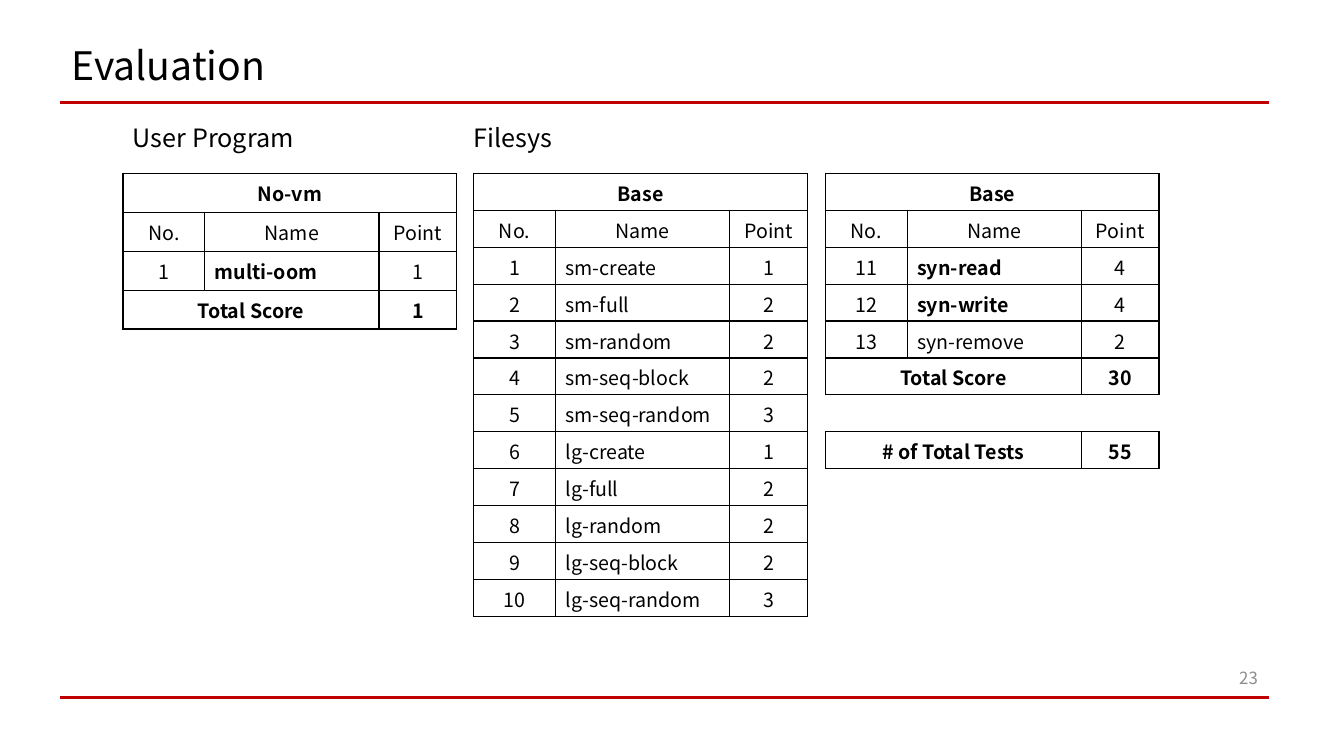
from dataclasses import dataclass

import pptx
import pptx.dml.color
import pptx.enum.shapes
import pptx.enum.text
import pptx.oxml.ns
import pptx.slide
import pptx.table
import pptx.text.text
import pptx.util
from lxml import etree
from pptx.enum.text import MSO_ANCHOR, PP_ALIGN
from pptx.util import Cm, Pt

FONT = "Noto Sans CJK KR"
BLACK = pptx.dml.color.RGBColor(0x00, 0x00, 0x00)
GRAY = pptx.dml.color.RGBColor(0x8C, 0x8C, 0x8C)
RED = pptx.dml.color.RGBColor(0xC0, 0x00, 0x00)

TABLE_TOP = 4.37
COLUMN_WIDTHS = (2.06, 4.39, 1.96)
TABLE_TEXT_SIZE = 14
ALL_SIDES = ("L", "R", "T", "B")


@dataclass
class Label:
    text: str
    left: float
    top: float
    width: float
    size: float
    color: pptx.dml.color.RGBColor = BLACK
    align: PP_ALIGN = PP_ALIGN.LEFT
    anchor: MSO_ANCHOR = MSO_ANCHOR.TOP


@dataclass
class Test:
    number: int
    name: str
    points: int
    bold: bool = False


@dataclass
class ScoreTable:
    """Title row, column heads, tests, then (label, value) totals; an empty label leaves a gap."""
    left: float
    row_height: float
    title: str
    tests: list[Test]
    totals: list[tuple[str, str]]


LABELS = [
    Label("User Program", 3.1, 2.97, 5.82, 18),
    Label("Filesys", 11.68, 2.97, 5.82, 18),
    Label("23", 30.63, 16.56, 1.32, 12, GRAY, PP_ALIGN.RIGHT, MSO_ANCHOR.MIDDLE),
]

SCORE_TABLES = [
    ScoreTable(3.1, 0.98, "No-vm", [Test(1, "multi-oom", 1, True)], [("Total Score", "1")]),
    ScoreTable(11.94, 0.93, "Base", [
        Test(1, "sm-create", 1),
        Test(2, "sm-full", 2),
        Test(3, "sm-random", 2),
        Test(4, "sm-seq-block", 2),
        Test(5, "sm-seq-random", 3),
        Test(6, "lg-create", 1),
        Test(7, "lg-full", 2),
        Test(8, "lg-random", 2),
        Test(9, "lg-seq-block", 2),
        Test(10, "lg-seq-random", 3),
    ], []),
    ScoreTable(20.8, 0.93, "Base", [
        Test(11, "syn-read", 4, True),
        Test(12, "syn-write", 4, True),
        Test(13, "syn-remove", 2),
    ], [("Total Score", "30"), ("", ""), ("# of Total Tests", "55")]),
]


def format_text(text_frame: pptx.text.text.TextFrame, size: float,
                color: pptx.dml.color.RGBColor, align: PP_ALIGN, bold: bool = False) -> None:
    for paragraph in text_frame.paragraphs:
        paragraph.alignment = align
        for run in paragraph.runs:
            run.font.name = FONT
            run.font.size = Pt(size)
            run.font.bold = bold
            run.font.color.rgb = color


def add_rule(slide: pptx.slide.Slide, y: float) -> None:
    rule = slide.shapes.add_connector(
        pptx.enum.shapes.MSO_CONNECTOR.STRAIGHT, Cm(1.5), Cm(y), Cm(31.98), Cm(y))
    rule.line.color.rgb = RED
    rule.line.width = Pt(2.25)
    etree.SubElement(rule._element.spPr, pptx.oxml.ns.qn("a:effectLst"))


def add_title(slide: pptx.slide.Slide, text: str) -> None:
    title = slide.shapes.title
    title.left, title.top, title.width, title.height = Cm(1.55), Cm(1.04), Cm(29.21), Cm(1.35)
    text_frame = title.text_frame
    text_frame.text = text
    text_frame.auto_size = pptx.enum.text.MSO_AUTO_SIZE.NONE
    text_frame.vertical_anchor = MSO_ANCHOR.MIDDLE
    text_frame.paragraphs[0].line_spacing = 0.9
    format_text(text_frame, 28, BLACK, PP_ALIGN.LEFT)


def add_label(slide: pptx.slide.Slide, label: Label) -> None:
    box = slide.shapes.add_textbox(Cm(label.left), Cm(label.top), Cm(label.width), Cm(1.02))
    text_frame = box.text_frame
    text_frame.word_wrap = True
    text_frame.vertical_anchor = label.anchor
    text_frame.text = label.text
    format_text(text_frame, label.size, label.color, label.align)


def set_borders(cell: pptx.table._Cell, sides: tuple[str, ...]) -> None:
    properties = cell._tc.get_or_add_tcPr()
    for position, side in enumerate(ALL_SIDES):
        line = etree.Element(pptx.oxml.ns.qn(f"a:ln{side}"), w=str(Pt(1)))
        if side in sides:
            fill = etree.SubElement(line, pptx.oxml.ns.qn("a:solidFill"))
            etree.SubElement(fill, pptx.oxml.ns.qn("a:srgbClr"), val=str(BLACK))
        else:
            etree.SubElement(line, pptx.oxml.ns.qn("a:noFill"))
        properties.insert(position, line)


def fill_cell(cell: pptx.table._Cell, text: str, bold: bool, align: PP_ALIGN) -> None:
    cell.text_frame.text = text
    format_text(cell.text_frame, TABLE_TEXT_SIZE, BLACK, align, bold)
    if not text:  # keeps the empty row from growing
        etree.SubElement(cell.text_frame.paragraphs[0]._p, pptx.oxml.ns.qn("a:endParaRPr"),
                         sz=str(TABLE_TEXT_SIZE * 100))


def add_score_table(slide: pptx.slide.Slide, score: ScoreTable) -> None:
    row_count = 2 + len(score.tests) + len(score.totals)
    table = slide.shapes.add_table(
        row_count, len(COLUMN_WIDTHS), Cm(score.left), Cm(TABLE_TOP),
        Cm(sum(COLUMN_WIDTHS)), Cm(score.row_height * row_count)).table
    table.first_row = table.horz_banding = False
    for column, width in zip(table.columns, COLUMN_WIDTHS):
        column.width = Cm(width)
    for row in table.rows:
        row.height = Cm(score.row_height)
    for cell in table.iter_cells():
        cell.fill.background()
        cell.margin_top, cell.margin_bottom = Cm(0.13), Cm(0.05)

    # Title and column heads
    table.cell(0, 0).merge(table.cell(0, 2))
    fill_cell(table.cell(0, 0), score.title, True, PP_ALIGN.CENTER)
    for column, head in enumerate(("No.", "Name", "Point")):
        fill_cell(table.cell(1, column), head, False, PP_ALIGN.CENTER)

    # Tests
    for row, test in enumerate(score.tests, start=2):
        fill_cell(table.cell(row, 0), str(test.number), False, PP_ALIGN.CENTER)
        fill_cell(table.cell(row, 1), test.name, test.bold, PP_ALIGN.LEFT)
        fill_cell(table.cell(row, 2), str(test.points), False, PP_ALIGN.CENTER)

    # Totals
    gap_rows = set()
    for row, (label, value) in enumerate(score.totals, start=2 + len(score.tests)):
        table.cell(row, 0).merge(table.cell(row, 1))
        fill_cell(table.cell(row, 0), label, True, PP_ALIGN.CENTER)
        fill_cell(table.cell(row, 2), value, True, PP_ALIGN.CENTER)
        if not label:
            gap_rows.add(row)

    for row in range(row_count):
        for column in range(len(COLUMN_WIDTHS)):
            set_borders(table.cell(row, column), ("T", "B") if row in gap_rows else ALL_SIDES)


def main() -> None:
    presentation = pptx.Presentation()
    presentation.slide_width, presentation.slide_height = Cm(33.87), Cm(19.05)
    slide = presentation.slides.add_slide(presentation.slide_layouts.get_by_name("Title Only"))
    for y in (17.58, 2.59):
        add_rule(slide, y)
    add_title(slide, "Evaluation")
    for label in LABELS:
        add_label(slide, label)
    for score in SCORE_TABLES:
        add_score_table(slide, score)
    presentation.save("out.pptx")


if __name__ == "__main__":
    main()
